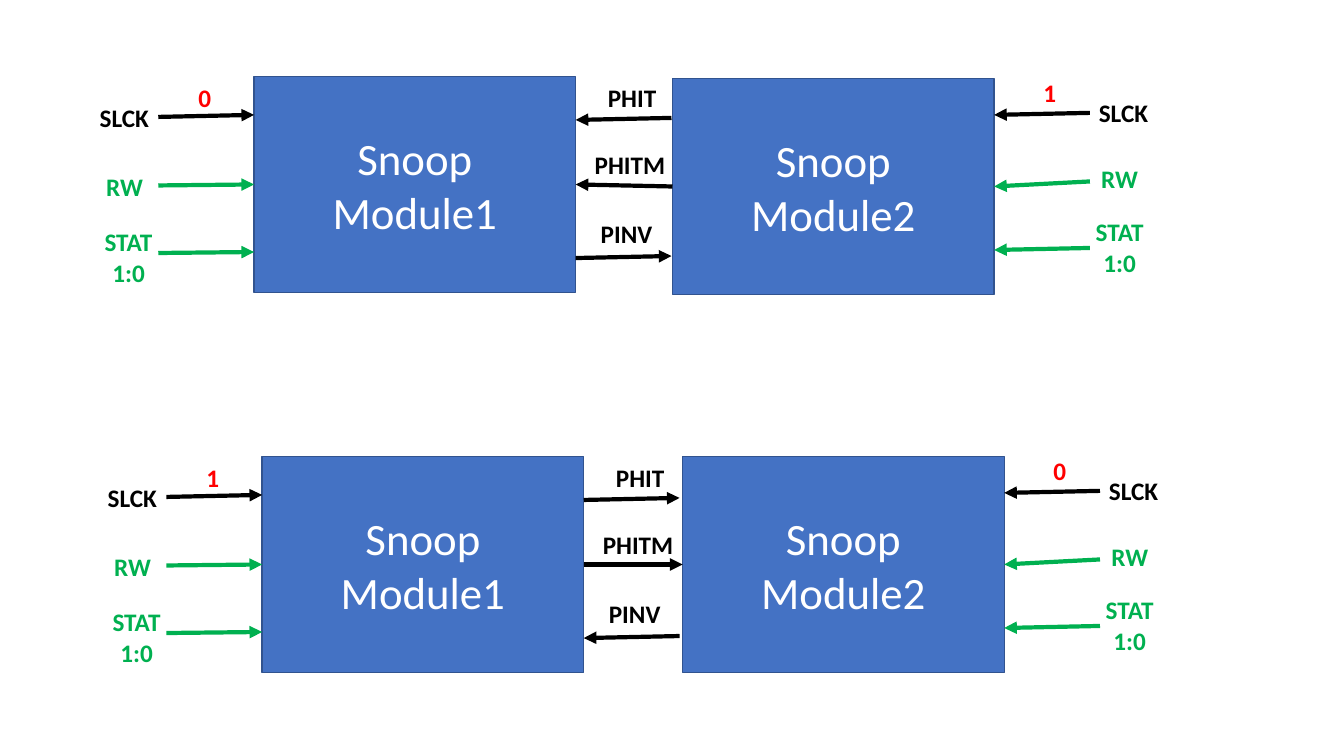
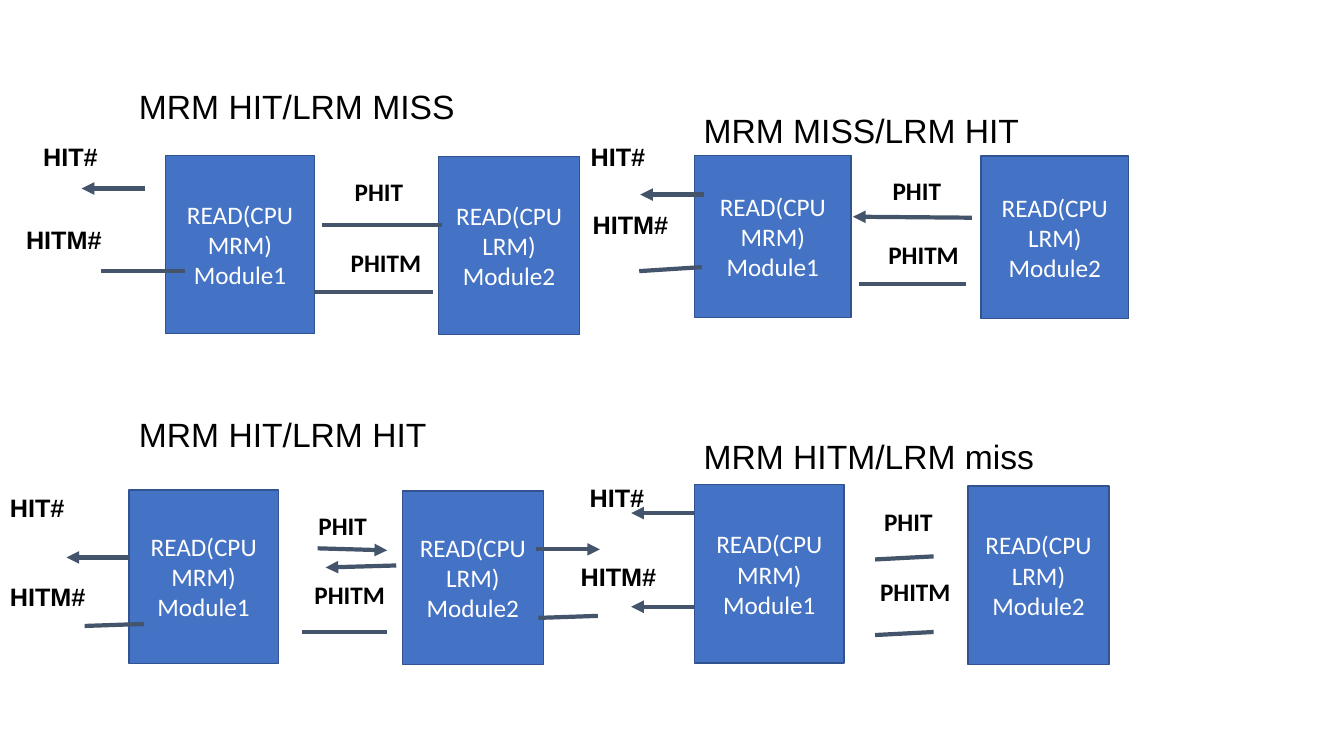
from dataclasses import dataclass

from lxml import etree
from pptx import Presentation
from pptx.dml.color import RGBColor
from pptx.enum.shapes import MSO_CONNECTOR, MSO_SHAPE
from pptx.enum.text import MSO_ANCHOR, PP_ALIGN
from pptx.oxml.ns import qn
from pptx.util import Pt

STRAIGHT = MSO_CONNECTOR.STRAIGHT
RECTANGLE = MSO_SHAPE.RECTANGLE
LEFT, CENTER = PP_ALIGN.LEFT, PP_ALIGN.CENTER
TOP, MIDDLE = MSO_ANCHOR.TOP, MSO_ANCHOR.MIDDLE
SIDE_LEFT, SIDE_RIGHT = 1, 3

EMU_PER_PX = 9144  # 100 px to the inch
PAGE_WIDTH, PAGE_HEIGHT = 1333, 750
BLANK_LAYOUT = 6


@dataclass(frozen=True)
class Theme:
    block: str = "4472C4"
    block_edge: str = "31538F"
    white: str = "FFFFFF"
    black: str = "000000"
    green: str = "00B050"
    red: str = "FF0000"
    slate: str = "44546A"
    body_font: str = "Calibri"
    caption_font: str = "Arial"
    label_size: int = 18
    caption_size: int = 24
    module_size: int = 32
    edge_width: int = 1
    wire_width: int = 3


THEME = Theme()

# Slide 1: one row per diagram; direction True means module 1 drives the wire
MODULE_WIDTH, MODULE_HEIGHT = 319, 214
WIRE_LENGTH = 95
SNOOP_ROWS = [
    # module 1 corner, module 2 corner, clock bits, directions PHIT / PHITM / PINV
    ((252, 76), (667, 78), ("0", "1"), (False, False, True)),
    ((260, 453), (677, 453), ("1", "0"), (True, True, False)),
]
# label, offset from module 1's top right corner, wire height
SHARED_SIGNALS = [
    ("PHIT", (22, 1), 43),
    ("PHITM", (9, 67), 110),
    ("PINV", (15, 136), 180),
]
# label, colour, alignment, label offset, wire start and wire end heights
LEFT_INPUTS = [
    ("SLCK", THEME.black, LEFT, (-163, 21), (40, 38)),
    ("RW", THEME.green, CENTER, (-167, 89), (108, 107)),
    ("STAT\n1:0", THEME.green, CENTER, (-163, 144), (175, 174)),
]
RIGHT_INPUTS = [
    ("SLCK", THEME.black, LEFT, (94, 14), (34, 36)),
    ("RW", THEME.green, CENTER, (86, 79), (102, 105)),
    ("STAT\n1:0", THEME.green, CENTER, (86, 132), (168, 170)),
]

# Slide 2: arrows and plain wires are (start, end) pairs
READ_PANELS = [
    dict(caption="MRM HIT/LRM MISS", caption_at=(128, 75),
         block=(164, 154, 148, 177), hit=(33, 135), hitm=(16, 218),
         arrows=[((144, 187), (81, 187))],
         wires=[((100, 269), (184, 269)), ((319, 223), (438, 223)),
                ((311, 290), (429, 290))]),
    dict(caption="MRM MISS/LRM HIT", caption_at=(688, 99),
         block=(689, 154, 155, 161), hit=(576, 135), hitm=(578, 203),
         arrows=[((698, 193), (635, 193)), ((964, 216), (846, 215))],
         wires=[((634, 269), (696, 265)), ((852, 282), (958, 282))]),
    dict(caption="MRM HIT/LRM HIT", caption_at=(128, 401),
         block=(128, 486, 148, 172), hit=(0, 483), hitm=(0, 572),
         arrows=[((128, 553), (66, 553)), ((315, 544), (384, 546)),
                 ((393, 561), (323, 563)), ((532, 545), (595, 545))],
         wires=[((84, 621), (143, 619)), ((300, 627), (384, 627)),
                ((534, 613), (593, 611))]),
    dict(caption="MRM HITM/LRM miss", caption_at=(688, 422),
         block=(689, 481, 148, 177), hit=(575, 474), hitm=(566, 552),
         arrows=[((688, 509), (626, 509)), ((688, 602), (626, 602))],
         wires=[((868, 555), (926, 552)), ((868, 630), (926, 627))]),
]


def px(*lengths):
    return [round(length * EMU_PER_PX) for length in lengths]


def rgb(colour):
    return RGBColor.from_string(colour)


def shifted(point, offset):
    return point[0] + offset[0], point[1] + offset[1]


def write_text(shape, text, *, size=THEME.label_size, font=THEME.body_font,
               colour=THEME.black, bold=False, align=LEFT, anchor=TOP,
               inset_y=5):
    """Fill a shape with one paragraph per line of text."""
    frame = shape.text_frame
    frame.word_wrap = True
    frame.vertical_anchor = anchor
    frame.margin_left, frame.margin_right = px(10, 10)
    frame.margin_top, frame.margin_bottom = px(inset_y, inset_y)
    for index, line in enumerate(text.split("\n")):
        para = frame.add_paragraph() if index else frame.paragraphs[0]
        para.alignment = align
        span = para.add_run()
        span.text = line
        span.font.name = font
        span.font.size = Pt(size)
        span.font.bold = bold
        span.font.color.rgb = rgb(colour)


def add_label(page, text, corner, width, height=40, **text_format):
    box = page.shapes.add_textbox(*px(*corner, width, height))
    write_text(box, text, **text_format)


def add_block(page, text, corner, width, height, size=THEME.label_size):
    block = page.shapes.add_shape(RECTANGLE, *px(*corner, width, height))
    block.shadow.inherit = False
    block.fill.solid()
    block.fill.fore_color.rgb = rgb(THEME.block)
    block.line.color.rgb = rgb(THEME.block_edge)
    block.line.width = Pt(THEME.edge_width)
    write_text(block, text, size=size, colour=THEME.white,
               align=CENTER, anchor=MIDDLE)
    return block


def add_wire(page, start, end, colour, arrow=True, begin_at=None, end_at=None):
    """Draw a line; begin_at and end_at are (block, side) joints."""
    wire = page.shapes.add_connector(STRAIGHT, *px(*start, *end))
    wire.line.color.rgb = rgb(colour)
    wire.line.width = Pt(THEME.wire_width)
    if arrow:
        etree.SubElement(wire.line._get_or_add_ln(), qn("a:tailEnd"),
                         type="triangle")
    etree.SubElement(wire._element.spPr, qn("a:effectLst"))
    if begin_at:
        wire.begin_connect(*begin_at)
    if end_at:
        wire.end_connect(*end_at)


def add_inputs(page, block, side, corner, reach, inputs):
    """Draw the wires that enter a module from outside, with their labels."""
    for text, colour, align, offset, (start_y, end_y) in inputs:
        joint = (block, side) if text == "RW" else None
        add_wire(page, shifted(corner, (reach, start_y)),
                 shifted(corner, (0, end_y)), colour, end_at=joint)
        add_label(page, text, shifted(corner, offset), 77,
                  colour=colour, bold=True, align=align)


def add_shared_signals(page, first, second, corner, directions):
    """Draw the wires between the two modules."""
    first_joint, second_joint = (first, SIDE_RIGHT), (second, SIDE_LEFT)
    for (text, offset, y), forward in zip(SHARED_SIGNALS, directions):
        near = shifted(corner, (0, y))
        far = shifted(corner, (WIRE_LENGTH, y - 2))
        joints = (first_joint, second_joint) if text == "PHITM" else (None, None)
        if forward:
            add_wire(page, near, far, THEME.black, True, *joints)
        else:
            add_wire(page, far, near, THEME.black, True, *reversed(joints))
        add_label(page, text, shifted(corner, offset), 105, bold=True)


def add_snoop_row(page, corner1, corner2, clock_bits, directions):
    first, second = (
        add_block(page, f"Snoop\nModule{number}", corner, MODULE_WIDTH,
                  MODULE_HEIGHT, size=THEME.module_size)
        for number, corner in enumerate((corner1, corner2), start=1))
    right1, right2 = (shifted(corner, (MODULE_WIDTH, 0))
                      for corner in (corner1, corner2))
    add_inputs(page, first, SIDE_LEFT, corner1, -WIRE_LENGTH, LEFT_INPUTS)
    add_inputs(page, second, SIDE_RIGHT, right2, WIRE_LENGTH, RIGHT_INPUTS)
    add_shared_signals(page, first, second, right1, directions)
    bit_corners = (shifted(corner1, (-65, 1)), shifted(right2, (39, -6)))
    for bit, corner in zip(clock_bits, bit_corners):
        add_label(page, bit, corner, 33, colour=THEME.red, bold=True)


def add_read_panel(page, caption, caption_at, block, hit, hitm, arrows, wires):
    left, top, width, height = block
    scale_x, scale_y = width / 148, height / 177

    def inside(x, y):
        return left + x * scale_x, top + y * scale_y

    add_label(page, caption, caption_at, 500, 87, size=THEME.caption_size,
              font=THEME.caption_font, inset_y=10)
    # The pair of modules and the signals between them
    add_block(page, "READ(CPU MRM)\nModule1", (left, top), width, height)
    add_block(page, "READ(CPU LRM)\nModule2", inside(271, 1),
              140 * scale_x, height)
    add_label(page, "PHIT", inside(178, 16), 97, bold=True)
    add_label(page, "PHITM", inside(174, 86), 100, bold=True)
    # Wires, then the output labels
    for lines, has_arrow in ((arrows, True), (wires, False)):
        for start, end in lines:
            add_wire(page, start, end, THEME.slate, has_arrow)
    for text, corner in (("HIT#", hit), ("HITM#", hitm)):
        add_label(page, text, corner, 128, 52, font=THEME.caption_font,
                  bold=True)


def main():
    deck = Presentation()
    deck.slide_width, deck.slide_height = px(PAGE_WIDTH, PAGE_HEIGHT)
    layout = deck.slide_layouts[BLANK_LAYOUT]

    snoop_page = deck.slides.add_slide(layout)
    for row in SNOOP_ROWS:
        add_snoop_row(snoop_page, *row)

    read_page = deck.slides.add_slide(layout)
    for panel in READ_PANELS:
        add_read_panel(read_page, **panel)

    deck.save("out.pptx")


if __name__ == "__main__":
    main()
